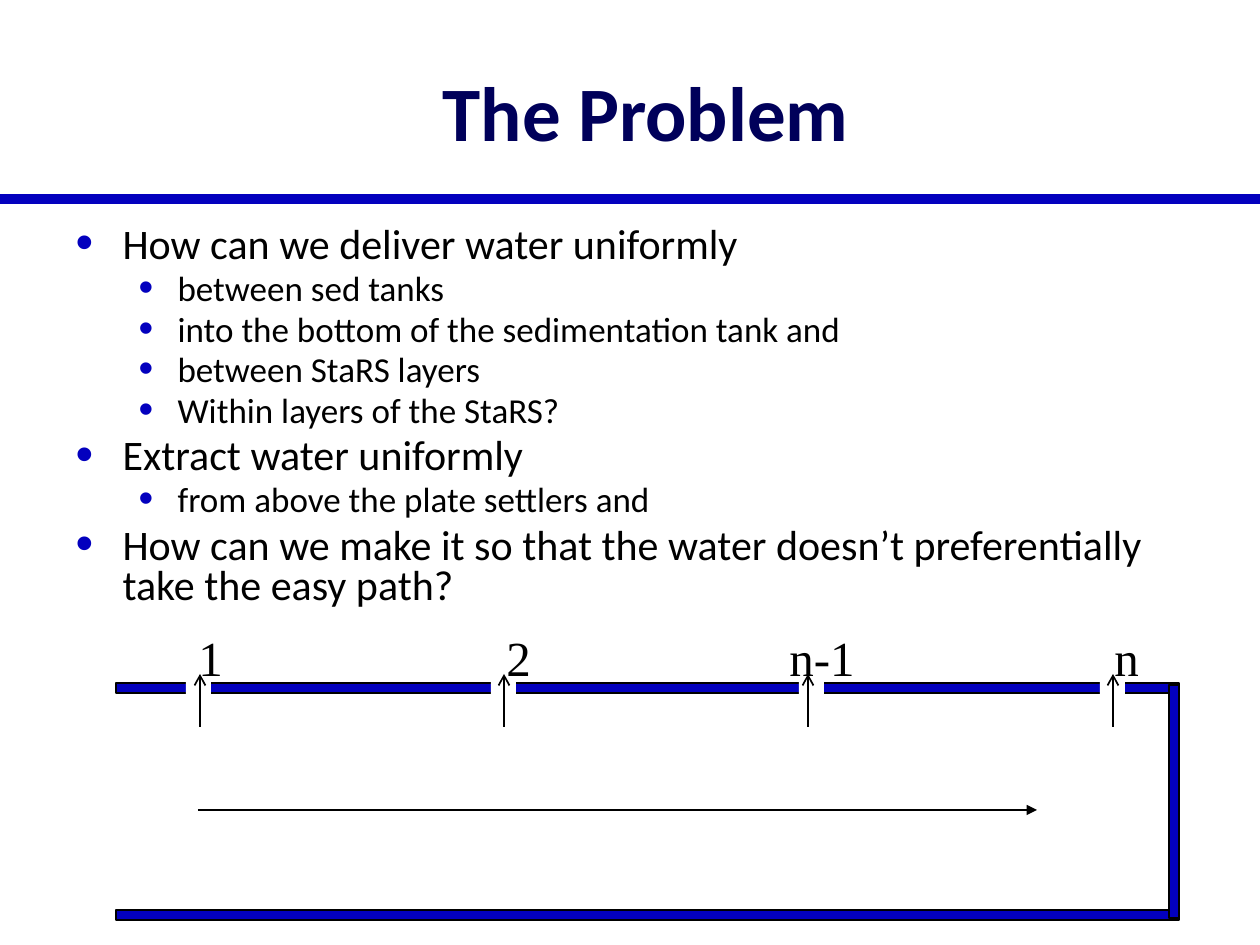
from dataclasses import dataclass
from lxml.etree import SubElement
from pptx import Presentation
from pptx.dml.color import RGBColor
from pptx.enum.shapes import MSO_CONNECTOR, MSO_SHAPE
from pptx.enum.text import MSO_ANCHOR, MSO_AUTO_SIZE, PP_ALIGN
from pptx.oxml.ns import qn
from pptx.util import Pt

SCALE = 914400 / 126


@dataclass(frozen=True)
class Theme:
    """Colours, fonts and type sizes of the slide."""
    blue: str = "0300BE"
    navy: str = "00005A"
    black: str = "000000"
    white: str = "FFFFFF"
    sans: str = "Calibri"
    serif: str = "Times New Roman"
    title: int = 44
    levels: tuple = (24, 20)
    label: int = 28


THEME = Theme()

POINTS = [
    (0, "How can we deliver water uniformly"),
    (1, "between sed tanks"),
    (1, "into the bottom of the sedimentation tank and"),
    (1, "between StaRS layers"),
    (1, "Within layers of the StaRS?"),
    (0, "Extract water uniformly"),
    (1, "from above the plate settlers and"),
    (0, "How can we make it so that the water doesn\u2019t preferentially "
        "take the easy path?"),
]
INDENTS = ((47, -47), (102, -39))

# Label, left of the wall gap, left and width of the label box
PORTS = [("1", 186, 186, 50), ("2", 491, 494, 50),
         ("n-1", 799, 777, 91), ("n", 1100, 1102, 50)]


def px(*vals):
    """Turn pixels into EMU."""
    return [round(val * SCALE) for val in vals]


def rgb(code):
    """Turn a hex code into a colour."""
    return RGBColor.from_string(code)


def style(para, size, face, color, bold=False):
    """Format every run of a paragraph."""
    for run in para.runs:
        font = run.font
        font.size, font.name, font.bold = Pt(size), face, bold
        font.color.rgb = rgb(color)


def place(shape, *box):
    """Move and size a shape."""
    shape.left, shape.top, shape.width, shape.height = px(*box)


def add_title(slide, text):
    """Fill the title placeholder."""
    title = slide.shapes.title
    place(title, 63, 32, 1166, 157)
    frame = title.text_frame
    frame.text = text
    frame.auto_size = MSO_AUTO_SIZE.NONE
    frame.vertical_anchor = MSO_ANCHOR.MIDDLE
    para = frame.paragraphs[0]
    para.alignment = PP_ALIGN.CENTER
    style(para, THEME.title, THEME.sans, THEME.navy, True)


def add_bullet(para, level):
    """Give a paragraph its indent and round blue bullet."""
    props = para._p.get_or_add_pPr()
    left, hang = px(*INDENTS[level])
    props.set("marL", str(left))
    props.set("indent", str(hang))
    color = SubElement(props, qn("a:buClr"))
    SubElement(color, qn("a:srgbClr"), val=THEME.blue)
    SubElement(props, qn("a:buSzPct"), val="120000")
    SubElement(props, qn("a:buFont"), typeface="Arial")
    SubElement(props, qn("a:buChar"), char="\u2022")


def add_list(slide, points):
    """Fill the body placeholder with two levels of bullets."""
    body = slide.placeholders[1]
    place(body, 63, 221, 1124, 347)
    frame = body.text_frame
    frame.text = "\n".join(text for _, text in points)
    frame.auto_size = MSO_AUTO_SIZE.NONE
    for para, (level, _) in zip(frame.paragraphs, points):
        size = THEME.levels[level]
        para.level = level
        para.line_spacing = 0.8
        para.space_before = Pt(size * 0.2)
        add_bullet(para, level)
        style(para, size, THEME.sans, THEME.black)


def add_rect(slide, box, fill, edge=None):
    """Draw a filled rectangle, with an outline if a colour is given."""
    rect = slide.shapes.add_shape(MSO_SHAPE.RECTANGLE, *px(*box))
    rect.shadow.inherit = False
    rect.fill.solid()
    rect.fill.fore_color.rgb = rgb(fill)
    if edge:
        rect.line.color.rgb = rgb(edge)
        rect.line.width = Pt(1)
    else:
        rect.line.fill.background()


def add_line(slide, ends, color, width=1, head=None):
    """Draw a straight line, with an arrowhead if one is named."""
    line = slide.shapes.add_connector(MSO_CONNECTOR.STRAIGHT, *px(*ends))
    line.line.color.rgb = rgb(color)
    line.line.width = Pt(width)
    if head:
        SubElement(line.line._get_or_add_ln(), qn("a:tailEnd"), type=head)
    SubElement(line._element.spPr, qn("a:effectLst"))


def add_label(slide, text, left, width):
    """Write the name of a port above the wall."""
    frame = slide.shapes.add_textbox(*px(left, 621, width, 72)).text_frame
    frame.text = text
    frame.word_wrap = False
    frame.auto_size = MSO_AUTO_SIZE.SHAPE_TO_FIT_TEXT
    style(frame.paragraphs[0], THEME.label, THEME.serif, THEME.black)


def add_tank(slide):
    """Draw the channel with its ports and flow arrows."""
    for wall in ((116, 683, 1063, 10), (116, 910, 1063, 10),
                 (1169, 685, 10, 233)):
        add_rect(slide, wall, THEME.blue, THEME.black)
    for index, (text, gap, left, width) in enumerate(PORTS):
        add_rect(slide, (gap, 649, 25, 72), THEME.white)
        add_label(slide, text, left, width)
        mid = round(199.5 + index * 304.5)
        add_line(slide, (mid, 727, mid, 674), THEME.black, head="arrow")
    add_line(slide, (198, 810, 1037, 810), THEME.black, head="triangle")


def main():
    """Build the slide and save it."""
    deck = Presentation()
    deck.slide_width, deck.slide_height = px(1260, 945)
    slide = deck.slides.add_slide(deck.slide_layouts[1])
    add_line(slide, (0, 199, 1260, 199), THEME.blue, 6)
    add_title(slide, "The Problem")
    add_list(slide, POINTS)
    add_tank(slide)
    deck.save("out.pptx")


main()
